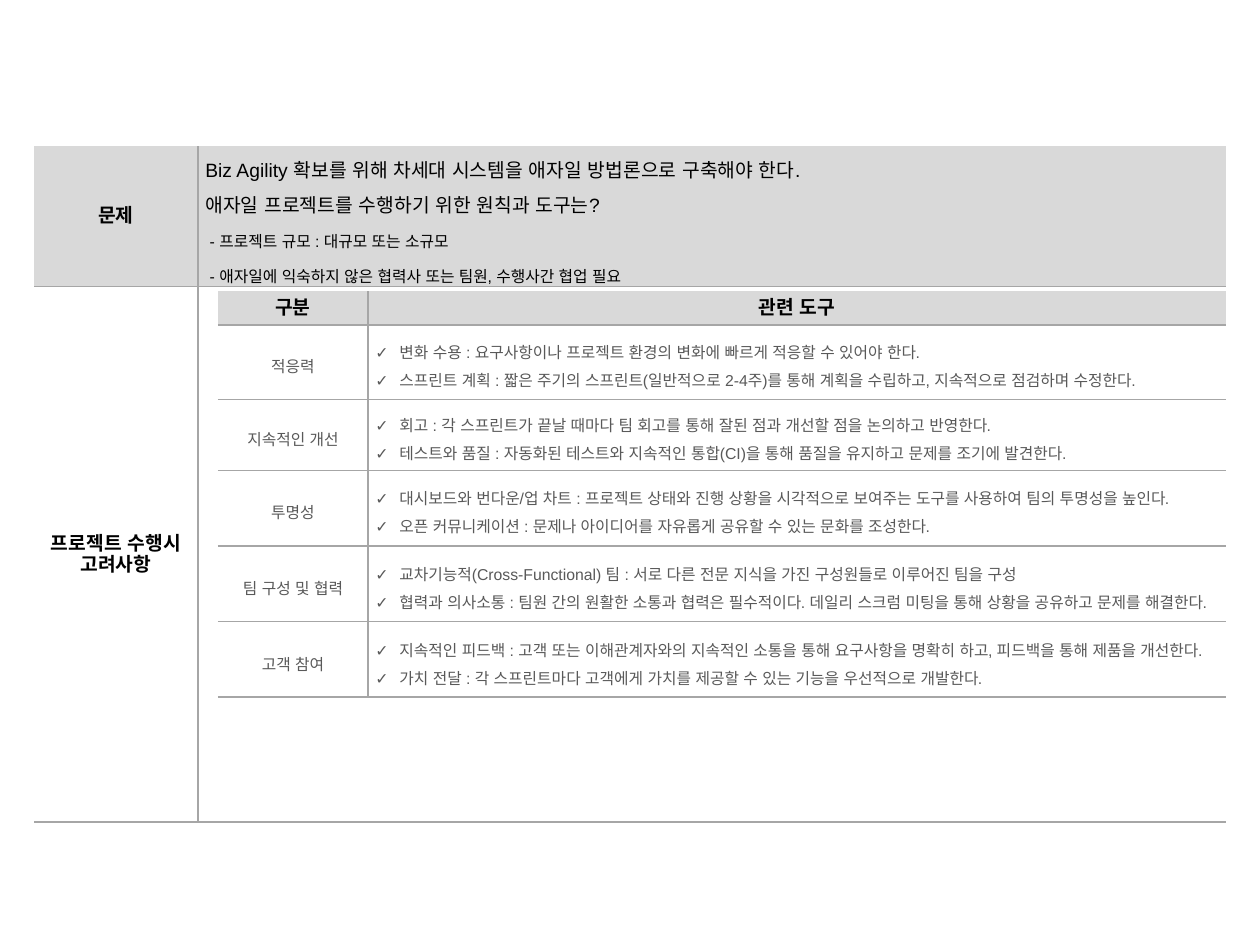
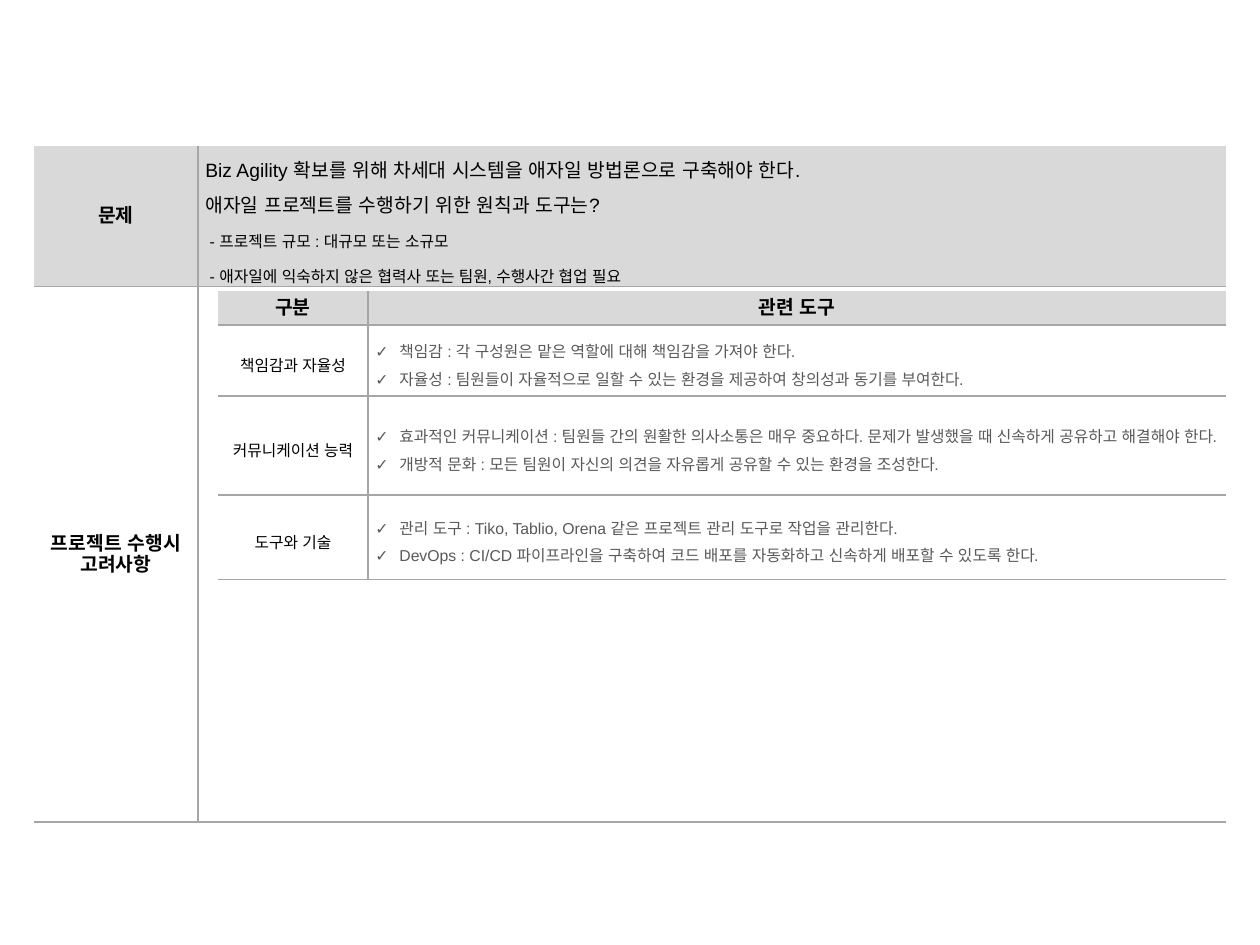
"""Build two slides on the principles and tools of agile projects."""
from dataclasses import dataclass

from lxml.etree import SubElement
from pptx import Presentation
from pptx.dml.color import RGBColor
from pptx.enum.lang import MSO_LANGUAGE_ID as Lang
from pptx.enum.text import MSO_ANCHOR as Anchor, PP_ALIGN as Align
from pptx.oxml import parse_xml
from pptx.oxml.ns import nsdecls, qn
from pptx.util import Inches, Pt

PROBLEM_LABEL = "문제"
QUESTION = [
    "Biz Agility 확보를 위해 차세대 시스템을 애자일 방법론으로 구축해야 한다.",
    "애자일 프로젝트를 수행하기 위한 원칙과 도구는?",
]
CONDITIONS = [
    " - 프로젝트 규모 : 대규모 또는 소규모",
    " - 애자일에 익숙하지 않은 협력사 또는 팀원, 수행사간 협업 필요",
]
CONSIDERATIONS_LABEL = "프로젝트 수행시 고려사항"
TOOL_HEADINGS = ["구분", "관련 도구"]

PRINCIPLES = [
    ("적응력", 0.59, [
        "변화 수용 : 요구사항이나 프로젝트 환경의 변화에 빠르게 적응할 수 있어야 한다.",
        "스프린트 계획 : 짧은 주기의 스프린트(일반적으로 2-4주)를 통해 계획을 수립하고, 지속적으로 점검하며 수정한다.",
    ]),
    ("지속적인 개선", 0.53, [
        "회고 : 각 스프린트가 끝날 때마다 팀 회고를 통해 잘된 점과 개선할 점을 논의하고 반영한다.",
        "테스트와 품질 : 자동화된 테스트와 지속적인 통합(CI)을 통해 품질을 유지하고 문제를 조기에 발견한다.",
    ]),
    ("투명성", 0.6, [
        "대시보드와 번다운/업 차트 : 프로젝트 상태와 진행 상황을 시각적으로 보여주는 도구를 사용하여 팀의 투명성을 높인다.",
        "오픈 커뮤니케이션 : 문제나 아이디어를 자유롭게 공유할 수 있는 문화를 조성한다.",
    ]),
    ("팀 구성 및 협력", 0.6, [
        "교차기능적(Cross-Functional) 팀 : 서로 다른 전문 지식을 가진 구성원들로 이루어진 팀을 구성",
        "협력과 의사소통 : 팀원 간의 원활한 소통과 협력은 필수적이다. 데일리 스크럼 미팅을 통해 상황을 공유하고 문제를 해결한다.",
    ]),
    ("고객 참여", 0.6, [
        "지속적인 피드백 : 고객 또는 이해관계자와의 지속적인 소통을 통해 요구사항을 명확히 하고, 피드백을 통해 제품을 개선한다.",
        "가치 전달 : 각 스프린트마다 고객에게 가치를 제공할 수 있는 기능을 우선적으로 개발한다.",
    ]),
]
CAPABILITIES = [
    ("책임감과 자율성", 0.51, [
        "책임감 : 각 구성원은 맡은 역할에 대해 책임감을 가져야 한다.",
        "자율성 : 팀원들이 자율적으로 일할 수 있는 환경을 제공하여 창의성과 동기를 부여한다.",
    ]),
    ("커뮤니케이션 능력", 0.67, [
        "효과적인 커뮤니케이션 : 팀원들 간의 원활한 의사소통은 매우 중요하다. 문제가 발생했을 때 신속하게 공유하고 해결해야 한다.",
        "개방적 문화 : 모든 팀원이 자신의 의견을 자유롭게 공유할 수 있는 환경을 조성한다.",
    ]),
    ("도구와 기술", 0.67, [
        "관리 도구 : Tiko, Tablio, Orena 같은 프로젝트 관리 도구로 작업을 관리한다.",
        "DevOps : CI/CD 파이프라인을 구축하여 코드 배포를 자동화하고 신속하게 배포할 수 있도록 한다.",
    ]),
]


@dataclass(frozen=True)
class Theme:
    font: str = "Arial"
    ink: str = "000000"
    muted: str = "595959"
    band: str = "D9D9D9"
    rule: str = "A6A6A6"
    large: int = 11
    small: int = 9
    question_spacing: int = 20
    tool_spacing: int = 16


THEME = Theme()
SLIDES = [(PRINCIPLES, THEME.muted, 3.66), (CAPABILITIES, THEME.ink, 2.23)]


def write(cell, lines, size, color=THEME.ink, bold=False, centered=False,
          spacing=None, checked=False, inset=(0.06, 0)):
    cell.vertical_anchor = Anchor.MIDDLE
    cell.margin_left = cell.margin_right = Inches(inset[0])
    cell.margin_top = cell.margin_bottom = Inches(inset[1])
    cell.text_frame.text = "\n".join(lines)
    for paragraph in cell.text_frame.paragraphs:
        paragraph.alignment = Align.CENTER if centered else Align.LEFT
        if spacing:
            paragraph.line_spacing = Pt(spacing)
        if checked:
            add_check(paragraph)
        style(paragraph.runs[0], size, color, bold)


def add_check(paragraph):
    properties = paragraph._p.get_or_add_pPr()
    properties.set("marL", str(Inches(0.19)))
    properties.set("indent", str(-Inches(0.19)))
    SubElement(properties, qn("a:buFont"), typeface=THEME.font)
    SubElement(properties, qn("a:buChar"), char="✓")


def style(run, size, color, bold):
    font = run.font
    font.size, font.bold, font.name = Pt(size), bold, THEME.font
    font.color.rgb = RGBColor.from_string(color)
    font.language_id = Lang.KOREAN
    SubElement(run._r.get_or_add_rPr(), qn("a:ea"), typeface=THEME.font)


def border(side, shown):
    paint = (f'<a:solidFill><a:srgbClr val="{THEME.rule}"/></a:solidFill>'
             if shown else "<a:noFill/>")
    return parse_xml(f'<a:ln{side} {nsdecls("a")} w="{Pt(1)}">{paint}</a:ln{side}>')


def add_grid(slide, box, widths, heights):
    frame = slide.shapes.add_table(len(heights), len(widths), *map(Inches, box))
    table = frame.table
    table.first_row = table.horz_banding = False
    for column, width in zip(table.columns, widths):
        column.width = Inches(width)
    for row, height in zip(table.rows, heights):
        row.height = Inches(height)
    frame.height = Inches(box[3])
    for r in range(len(heights)):
        for c in range(len(widths)):
            cell = table.cell(r, c)
            if r == 0:
                cell.fill.solid()
                cell.fill.fore_color.rgb = RGBColor.from_string(THEME.band)
            else:
                cell.fill.background()
            sides = {"L": c > 0, "R": c < len(widths) - 1, "T": r > 0, "B": True}
            for place, (side, shown) in enumerate(sides.items()):
                cell._tc.get_or_add_tcPr().insert(place, border(side, shown))
    return table


def add_problem(slide):
    table = add_grid(slide, (0.27, 1.16, 9.46, 5.32), (1.3, 8.16), (0.96, 4.25))
    for row, label in enumerate([PROBLEM_LABEL, CONSIDERATIONS_LABEL]):
        write(table.cell(row, 0), [label], THEME.large, bold=True, centered=True)
    problem = table.cell(0, 1)
    write(problem, QUESTION + CONDITIONS, THEME.large, spacing=THEME.question_spacing)
    for condition in problem.text_frame.paragraphs[len(QUESTION):]:
        condition.runs[0].font.size = Pt(THEME.small)


def add_tools(slide, topics, topic_color, height):
    heights = [0.27] + [topic_height for _, topic_height, _ in topics]
    table = add_grid(slide, (1.73, 2.31, 8, height), (1.19, 6.81), heights)
    for column, heading in enumerate(TOOL_HEADINGS):
        write(table.cell(0, column), [heading], THEME.large, bold=True,
              centered=True, inset=(0.05, 0))
    body = dict(size=THEME.small, spacing=THEME.tool_spacing, inset=(0.06, 0.06))
    for row, (topic, _, tools) in enumerate(topics, start=1):
        write(table.cell(row, 0), [topic], color=topic_color, centered=True, **body)
        write(table.cell(row, 1), tools, color=THEME.muted, checked=True, **body)


def main():
    deck = Presentation()
    deck.slide_width, deck.slide_height = Inches(10), Inches(7.5)
    for topics, topic_color, height in SLIDES:
        slide = deck.slides.add_slide(deck.slide_layouts[6])
        add_problem(slide)
        add_tools(slide, topics, topic_color, height)
    deck.save("out.pptx")


if __name__ == "__main__":
    main()
